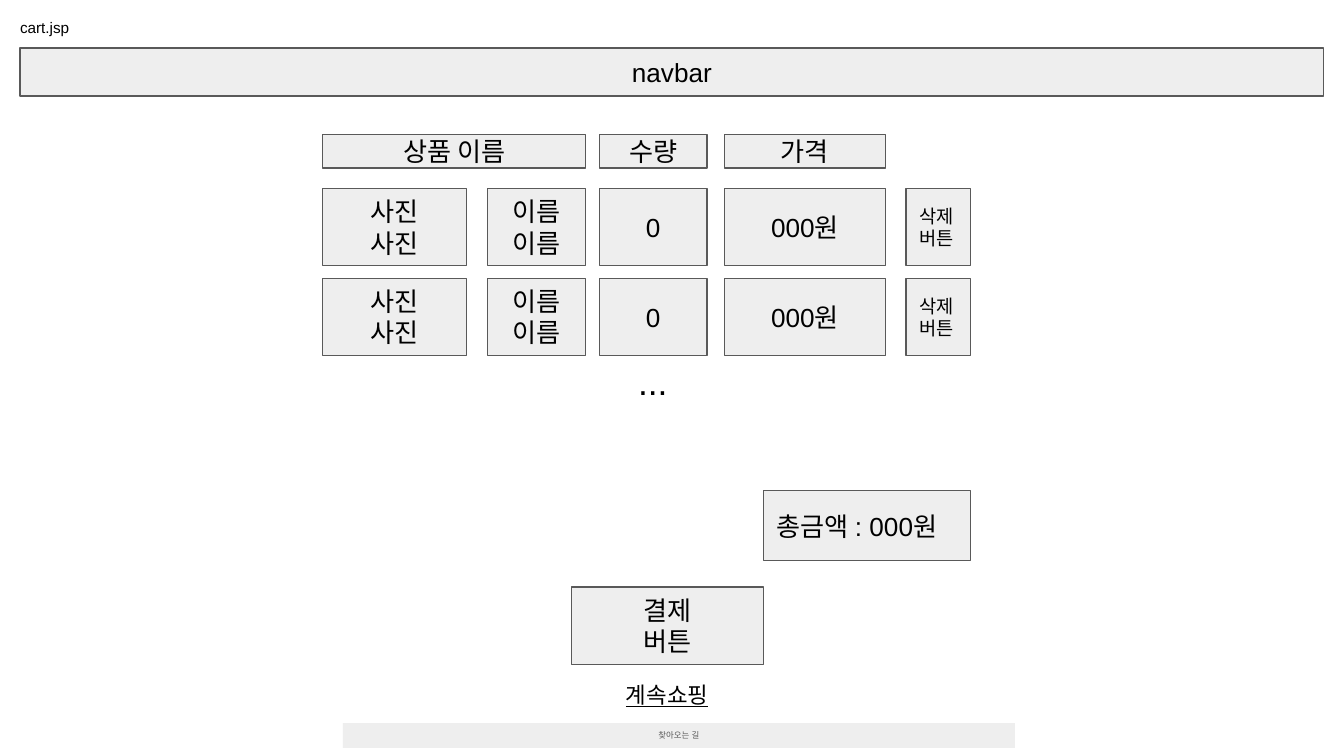
from pptx import Presentation
from pptx.dml.color import RGBColor
from pptx.enum import shapes, text
from pptx.util import Cm, Pt

COLORS = {"fill": "EEEEEE", "line": "595959", "text": "000000", "muted": "595959"}
FONT = "Arial"
LEFT, CENTER = text.PP_ALIGN.LEFT, text.PP_ALIGN.CENTER
TOP, MIDDLE = text.MSO_ANCHOR.TOP, text.MSO_ANCHOR.MIDDLE

TITLE = ("cart.jsp", (0.13, 0.1, 2.57, 0.79))
COLUMNS = {
    "photo": (6.1, 2.72),
    "name": (9.22, 1.85),
    "quantity": (11.33, 2.03),
    "price": (13.69, 3.05),
    "delete": (17.12, 1.22),
}
HEADERS = [
    ("상품 이름", "photo", "name"),
    ("수량", "quantity", "quantity"),
    ("가격", "price", "price"),
]
ITEM = [
    ("photo", ["사진", "사진"], 14, CENTER),
    ("name", ["이름", "이름"], 14, CENTER),
    ("quantity", ["0"], 14, CENTER),
    ("price", ["000원"], 14, CENTER),
    ("delete", ["삭제", "버튼"], 10, LEFT),
]
HEADER_TOP, HEADER_HEIGHT = 2.54, 0.64
ITEM_COUNT, ITEM_TOP, ITEM_HEIGHT, ITEM_STEP = 2, 3.56, 1.46, 1.7
BOXES = [
    (["navbar"], (0.38, 0.91, 24.64, 0.91), CENTER),
    (["총금액 : 000원"], (14.43, 9.27, 3.91, 1.33), LEFT),
    (["결제", "버튼"], (10.8, 11.1, 3.63, 1.46), CENTER),
]
LABELS = [
    ("계속쇼핑", (11.58, 12.62, 3.05, 1.02), 12, True),
    ("...", (11.81, 6.55, 1.22, 1.32), 19, False),
]
FOOTER = ("찾아오는 길", (6.48, 13.67, 12.7, 0.47))


def rgb(name):
    return RGBColor.from_string(COLORS[name])


def write(sp, lines, size, align=LEFT, anchor=TOP, color="text", underline=None):
    tf = sp.text_frame
    tf.word_wrap = True
    tf.auto_size = text.MSO_AUTO_SIZE.NONE
    tf.vertical_anchor = anchor
    tf.margin_left = tf.margin_right = tf.margin_top = tf.margin_bottom = Cm(0.25)
    for i, line in enumerate(lines):
        p = tf.add_paragraph() if i else tf.paragraphs[0]
        p.alignment = align
        r = p.add_run()
        r.text = line
        r.font.name = FONT
        r.font.size = Pt(size)
        r.font.underline = underline
        r.font.color.rgb = rgb(color)
    return tf


def add_box(s, lines, at, size=14, align=CENTER, color="text", outlined=True):
    sp = s.shapes.add_shape(shapes.MSO_SHAPE.RECTANGLE, *map(Cm, at))
    sp.shadow.inherit = False
    sp.fill.solid()
    sp.fill.fore_color.rgb = rgb("fill")
    if outlined:
        sp.line.color.rgb = rgb("line")
        sp.line.width = Pt(0.75)
    else:
        sp.line.fill.background()
    return write(sp, lines, size, align, MIDDLE, color)


def add_title(s):
    label, at = TITLE
    sp = s.shapes.title
    sp.left, sp.top, sp.width, sp.height = map(Cm, at)
    write(sp, [label], 8.2)


def add_cart(s):
    for label, first, last in HEADERS:
        left = COLUMNS[first][0]
        right = sum(COLUMNS[last])
        add_box(s, [label], (left, HEADER_TOP, right - left, HEADER_HEIGHT))
    for row in range(ITEM_COUNT):
        top = ITEM_TOP + row * ITEM_STEP
        for column, lines, size, align in ITEM:
            left, width = COLUMNS[column]
            add_box(s, lines, (left, top, width, ITEM_HEIGHT), size, align)


def add_footer(s):
    label, at = FOOTER
    tf = add_box(s, [label], at, 4.5, CENTER, "muted", outlined=False)
    p = tf.paragraphs[0]
    p.line_spacing = 0.95
    p.space_after = Pt(12)


def main():
    prs = Presentation()
    prs.slide_width, prs.slide_height = Cm(25.4), Cm(14.29)
    s = prs.slides.add_slide(prs.slide_layouts[5])
    add_title(s)
    add_cart(s)
    for lines, at, align in BOXES:
        add_box(s, lines, at, align=align)
    for label, at, size, underline in LABELS:
        sp = s.shapes.add_textbox(*map(Cm, at))
        write(sp, [label], size, underline=underline)
    add_footer(s)
    prs.save("out.pptx")


if __name__ == "__main__":
    main()
